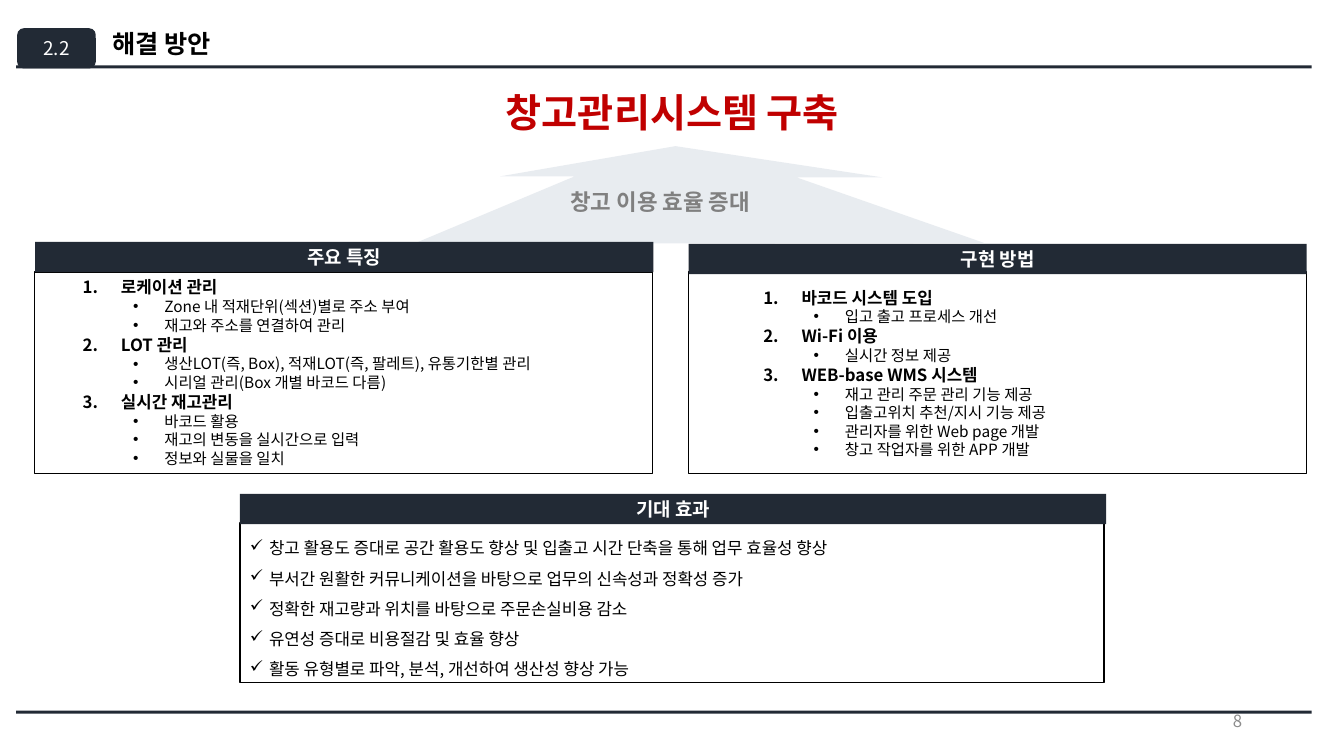
from lxml.etree import SubElement
from pptx import Presentation
from pptx.dml.color import RGBColor
from pptx.enum.shapes import MSO_SHAPE
from pptx.enum.text import MSO_ANCHOR, MSO_AUTO_SIZE, PP_ALIGN
from pptx.oxml.ns import qn
from pptx.util import Inches, Pt


class Theme:
    font = "Noto Sans CJK KR"
    navy, white, black = "222A35", "FFFFFF", "000000"
    red, gray, pale, arrow = "C00000", "808080", "8C8C8C", "8497B0"
    big, title, mid, head, item, sub = 28, 18, 16, 13.5, 12, 11


# Content
TITLE, SECTION, PAGE = "해결 방안", "2.2", "8"
GOAL, DRIVER = "창고관리시스템 구축", "창고 이용 효율 증대"
# Each panel: heading, heading box, frame box, list box, topics
PANELS = [
    ("주요 특징", (0.35, 2.4, 6.13, 0.3), (0.34, 2.7, 6.13, 2), (0.72, 2.7, 6.12, 2), [
        ("로케이션 관리", ["Zone 내 적재단위(섹션)별로 주소 부여", "재고와 주소를 연결하여 관리"]),
        ("LOT 관리", ["생산LOT(즉, Box), 적재LOT(즉, 팔레트), 유통기한별 관리",
                    "시리얼 관리(Box 개별 바코드 다름)"]),
        ("실시간 재고관리", ["바코드 활용", "재고의 변동을 실시간으로 입력", "정보와 실물을 일치"]),
    ]),
    ("구현 방법", (6.83, 2.42, 6.13, 0.3), (6.83, 2.7, 6.13, 2), (7.47, 2.8, 4.12, 2), [
        ("바코드 시스템 도입", ["입고 출고 프로세스 개선"]),
        ("Wi-Fi 이용", ["실시간 정보 제공"]),
        ("WEB-base WMS 시스템", ["재고 관리 주문 관리 기능 제공", "입출고위치 추천/지시 기능 제공",
                               "관리자를 위한 Web page 개발", "창고 작업자를 위한 APP 개발"]),
    ]),
]
EFFECT = "기대 효과"
GAINS = [
    "창고 활용도 증대로 공간 활용도 향상 및 입출고 시간 단축을 통해 업무 효율성 향상",
    "부서간 원활한 커뮤니케이션을 바탕으로 업무의 신속성과 정확성 증가",
    "정확한 재고량과 위치를 바탕으로 주문손실비용 감소",
    "유연성 증대로 비용절감 및 효율 향상",
    "활동 유형별로 파악, 분석, 개선하여 생산성 향상 가능",
]
ARROW = [(4.96, 1.75), (6.7, 1.45), (8.75, 1.76), (7.9, 1.76),
         (9.76, 2.41), (4.1, 2.42), (5.7, 1.75)]

deck = Presentation()
deck.slide_width, deck.slide_height = Inches(13.33), Inches(7.5)
slide = deck.slides.add_slide(deck.slide_layouts.get_by_name("Two Content"))
shapes = slide.shapes


def style(para, size, color, bold=False, align=PP_ALIGN.LEFT):
    para.alignment = align
    para.space_before = Pt(0)
    font = para.font
    font.size, font.bold, font.name = Pt(size), bold, Theme.font
    font.color.rgb = RGBColor.from_string(color)
    SubElement(font._rPr, qn("a:ea")).set("typeface", Theme.font)


def bullet(para, left, hang, kind, **mark):
    props = para._p.get_or_add_pPr()
    props.set("marL", str(Inches(left)))
    props.set("indent", str(-Inches(hang)))
    SubElement(props, qn("a:" + kind)).attrib.update(mark)


def place(shape, box):
    shape.left, shape.top, shape.width, shape.height = map(Inches, box)


def paint(shape, fill, line=None):
    shape.shadow.inherit = False
    shape.fill.solid()
    shape.fill.fore_color.rgb = RGBColor.from_string(fill)
    if line:
        shape.line.color.rgb = RGBColor.from_string(line)
        shape.line.width = Pt(1)
    else:
        shape.line.fill.background()
    return shape


def block(box, fill, line=None, kind=MSO_SHAPE.RECTANGLE):
    return paint(shapes.add_shape(kind, *map(Inches, box)), fill, line)


def write(shape, text, size, color, bold=False, align=PP_ALIGN.CENTER,
          anchor=MSO_ANCHOR.MIDDLE, wrap=True):
    frame = shape.text_frame
    frame.word_wrap, frame.vertical_anchor = wrap, anchor
    frame.auto_size = MSO_AUTO_SIZE.NONE
    frame.text = text
    style(frame.paragraphs[0], size, color, bold, align)


def label(box, *args, **more):
    write(shapes.add_textbox(*map(Inches, box)), *args, **more)


def fill_list(shape, lines, form):
    frame = shape.text_frame
    frame.word_wrap, frame.vertical_anchor = True, MSO_ANCHOR.TOP
    frame.auto_size = MSO_AUTO_SIZE.NONE
    for i, line in enumerate(lines):
        para = frame.add_paragraph() if i else frame.paragraphs[0]
        form(para, line)


def topic(para, line):
    text, level = line
    para.text, para.level = text, level
    if level:
        bullet(para, 0.81, 0.31, "buChar", char="•")
    else:
        bullet(para, 0.38, 0.38, "buAutoNum", type="arabicPeriod")
    style(para, Theme.sub if level else Theme.item, Theme.black, not level)


def gain(para, text):
    para.text, para.line_spacing = text, 1.5
    bullet(para, 0.19, 0.19, "buChar", char="✓")
    style(para, Theme.item, Theme.black)


def heading(text, box):
    write(block(box, Theme.navy), text, Theme.head, Theme.white, True)


# Page frame: rules, section tab, title, page number
for top in (0.65, 7.05):
    block((0.16, top, 12.85, 0.03), Theme.navy)
tab = block((0.17, 0.28, 0.78, 0.4), Theme.navy, kind=MSO_SHAPE.ROUNDED_RECTANGLE)
write(tab, SECTION, Theme.head, Theme.white)
place(shapes.title, (0.94, 0.26, 1.33, 0.38))
write(shapes.title, TITLE, Theme.title, Theme.black, True, anchor=MSO_ANCHOR.BOTTOM)
shapes.title.text_frame.paragraphs[0].line_spacing = 0.9
label((9.42, 6.95, 3, 0.4), PAGE, Theme.item, Theme.pale, align=PP_ALIGN.RIGHT)

# Goal and arrow
pen = shapes.build_freeform(*map(Inches, ARROW[0]))
pen.add_line_segments([(Inches(x), Inches(y)) for x, y in ARROW[1:]])
arrow = paint(pen.convert_to_shape(), Theme.arrow)
tint = arrow._element.spPr.find(qn("a:solidFill"))[0]
SubElement(tint, qn("a:alpha")).set("val", "18000")
label((4.45, 0.83, 4.44, 0.77), GOAL, Theme.big, Theme.red, True, anchor=MSO_ANCHOR.TOP)
label((5.56, 1.82, 2.23, 0.37), DRIVER, Theme.mid, Theme.gray, True,
      PP_ALIGN.LEFT, MSO_ANCHOR.TOP, False)

# Two panels with numbered lists, each list in front of its frame
for body, (head, bar, edge, area, topics) in zip(list(slide.placeholders)[1:], PANELS):
    block(edge, Theme.white, Theme.black)
    shapes._spTree.append(body._element)
    place(body, area)
    lines = [line for name, subs in topics for line in [(name, 0)] + [(s, 1) for s in subs]]
    fill_list(body, lines, topic)
    heading(head, bar)

# Expected effects
fill_list(block((2.38, 5.19, 8.57, 1.58), Theme.white, Theme.black), GAINS, gain)
heading(EFFECT, (2.38, 4.9, 8.59, 0.3))

deck.save("out.pptx")
